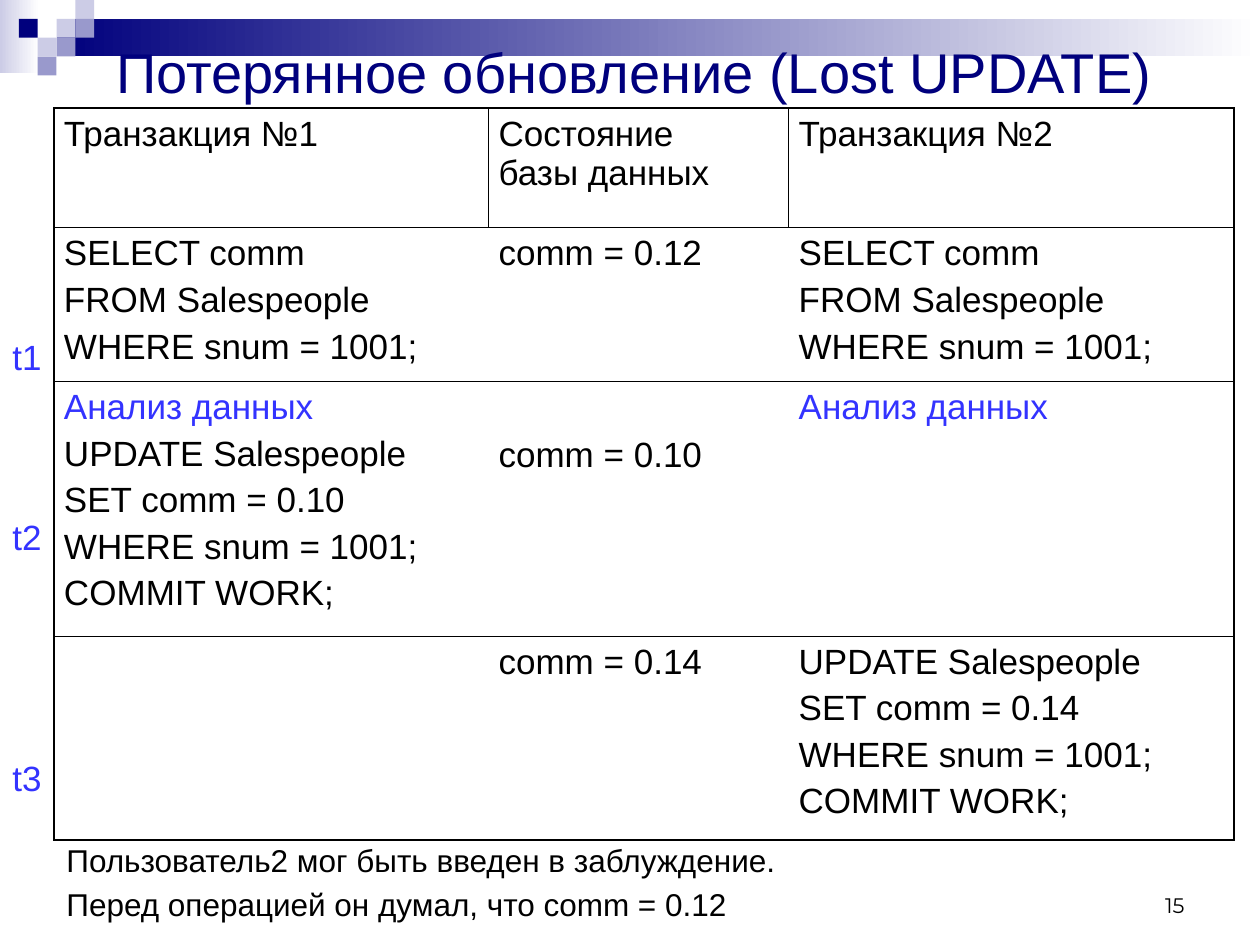
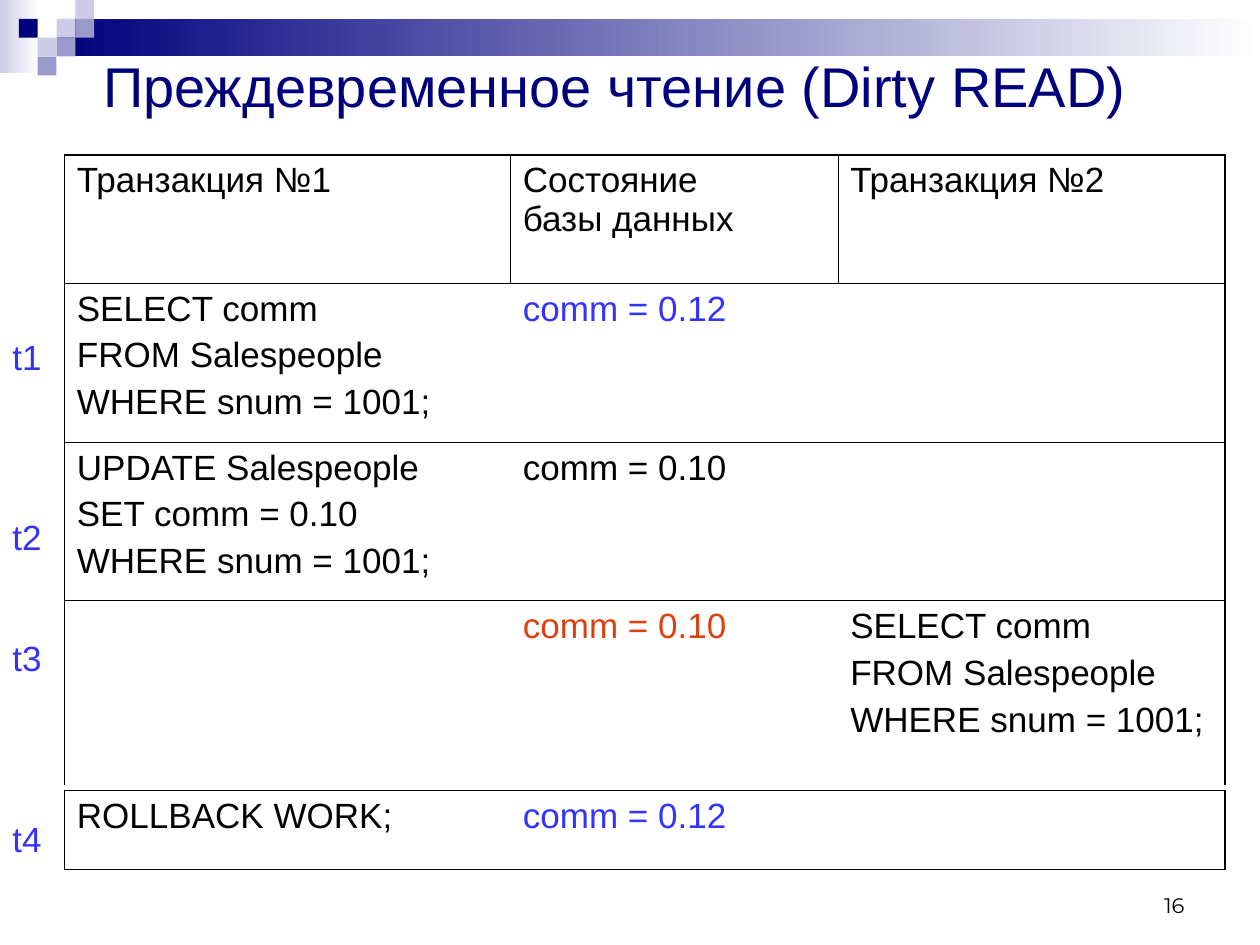
from lxml import etree
from pptx import Presentation
from pptx.dml.color import RGBColor
from pptx.enum.shapes import MSO_SHAPE as Shape
from pptx.enum.text import MSO_ANCHOR as Anchor, MSO_AUTO_SIZE as Fit, PP_ALIGN as Align
from pptx.oxml.ns import qn
from pptx.util import Cm, Pt

NAVY, LILAC, PALE = "00007D", "9999CC", "CCCCE6"
WHITE, BLACK, BLUE, RED = "FFFFFF", "000000", "3333FF", "DE4110"
FONT, NUMFONT = "Arial", "Montserrat"
THIN, THICK = 0.45, 1.08
UNIT = 0.38  # side of one corner square, cm

HEAD = ["Транзакция №1", "Состояние\vбазы данных", "Транзакция №2"]
SELECT = ["SELECT comm", "FROM Salespeople", "WHERE snum = 1001;"]
STUDY = ("Анализ данных", BLUE)


def update(rate):
    return ["UPDATE Salespeople", f"SET comm = {rate}", "WHERE snum = 1001;"]


def paint(color, code):
    color.rgb = RGBColor.from_string(code)


def lengths(box):
    return [Cm(n) for n in box]


def write(frame, lines, size=20, color=BLACK, gap=0, lead=None, font=FONT, align=None):
    """Fill a frame; a line is a string or a (string, colour) pair."""
    frame.word_wrap = True
    for i, line in enumerate(lines):
        text, code = (line, color) if isinstance(line, str) else line
        para = frame.paragraphs[0] if i == 0 else frame.add_paragraph()
        para.text = text
        para.alignment = align
        para.line_spacing = lead
        para.space_before = Pt(gap if i else 0)
        for run in para.runs:
            run.font.name, run.font.size = font, Pt(size)
            paint(run.font.color, code)


def text_box(slide, box, lines, **style):
    frame = slide.shapes.add_textbox(*lengths(box)).text_frame
    write(frame, lines, **style)
    return frame


# Corner squares and top band
def block(slide, box, *codes):
    shape = slide.shapes.add_shape(Shape.RECTANGLE, *lengths(box))
    shape.shadow.inherit = False
    shape.line.fill.background()
    if len(codes) == 1:
        shape.fill.solid()
        paint(shape.fill.fore_color, codes[0])
        return
    shape.fill.gradient()
    shape.fill.gradient_angle = 0
    for stop, code, place in zip(shape.fill.gradient_stops, codes, (0, 1)):
        paint(stop.color, code)
        stop.position = place


def banner(slide):
    block(slide, (0, 0, 0.79, 1.47), PALE, WHITE)
    block(slide, (3 * UNIT, UNIT, 25.4 - 3 * UNIT, 2 * UNIT), NAVY, WHITE)
    squares = [(3, 1, PALE), (4, 0, PALE), (4, 1, LILAC), (2, 2, PALE),
               (1, 1, NAVY), (3, 2, LILAC), (2, 3, LILAC)]
    for col, row, code in squares:
        block(slide, (col * UNIT, row * UNIT, UNIT, UNIT), code)


# Title in front of the band
def heading(slide, box, text, lead=None):
    title = slide.shapes.title
    title.left, title.top, title.width, title.height = lengths(box)
    title.element.getparent().append(title.element)
    frame = title.text_frame
    frame.auto_size = Fit.NONE
    frame.vertical_anchor = Anchor.MIDDLE
    write(frame, [text], size=32, color=NAVY, lead=lead, align=Align.CENTER)


def edge(cell, side, width):
    line = etree.SubElement(cell._tc.get_or_add_tcPr(), qn(f"a:ln{side}"))
    if not width:
        etree.SubElement(line, qn("a:noFill"))
        return
    line.set("w", str(Pt(width)))
    fill = etree.SubElement(line, qn("a:solidFill"))
    etree.SubElement(fill, qn("a:srgbClr")).set("val", BLACK)


# Table of transactions: ruled header, body rows without inner uprights
def grid(slide, spot, cols, heights, rows, inset, head=True, foot=THICK, drop=()):
    box = (*spot, sum(cols), sum(heights))
    table = slide.shapes.add_table(len(rows), len(cols), *lengths(box)).table
    table.first_row = table.horz_banding = False
    for col, width in zip(table.columns, cols):
        col.width = Cm(width)
    for r, (row, height) in enumerate(zip(rows, heights)):
        table.rows[r].height = Cm(height)
        top = head and r == 0
        inner = THIN if top else 0
        for c, lines in enumerate(row):
            cell = table.cell(r, c)
            cell.margin_left = cell.margin_right = Cm(inset)
            cell.margin_top = Cm(1.09 if (r, c) in drop else 0.13)
            cell.margin_bottom = Cm(0.13)
            write(cell.text_frame, lines, gap=4.3)
            edge(cell, "L", THICK if c == 0 else inner)
            edge(cell, "R", THICK if c == len(cols) - 1 else inner)
            edge(cell, "T", THICK if top else THIN)
            edge(cell, "B", foot if r == len(rows) - 1 else THIN)
            cell.fill.background()


# Time marks down the left margin, set apart by whole steps
def times(slide, box, steps):
    marks = [f"t{n}" for n in range(1, len(steps) + 2)]
    frame = text_box(slide, box, marks, color=BLUE, lead=0.9)
    for para, step in zip(frame.paragraphs[1:], steps):
        para.space_before = Pt(34.1 * step - 20.7)


def number(slide, value):
    frame = text_box(slide, (18.21, 17.35, 5.92, 1.27), [str(value)],
                     size=12, font=NUMFONT, align=Align.RIGHT)
    frame.vertical_anchor = Anchor.BOTTOM


def lost_update(slide):
    heading(slide, (1.09, 0.71, 23.39, 1.6), "Потерянное обновление (Lost UPDATE)", 0.9)
    rows = [
        [[name] for name in HEAD],
        [SELECT, ["comm = 0.12"], SELECT],
        [[STUDY, *update("0.10"), "COMMIT WORK;"], ["comm = 0.10"], [STUDY]],
        [[], ["comm = 0.14"], [*update("0.14"), "COMMIT WORK;"]],
    ]
    grid(slide, (1.09, 2.18), (8.76, 6.05, 8.97), (2.41, 3.1, 5.13, 4.11),
         rows, 0.2, drop=[(2, 1)])
    times(slide, (0, 6.73, 1.14, 9.45), (3, 4))
    number(slide, 15)
    text_box(slide, (1.09, 16.92, 23.01, 1.8),
             ["Пользователь2 мог быть введен в заблуждение.",
              "Перед операцией он думал, что comm = 0.12"],
             size=18, gap=5.5, lead=0.9)


def dirty_read(slide):
    heading(slide, (1.5, 0.91, 21.79, 1.6), "Преждевременное чтение (Dirty READ)")
    cols = (8.99, 6.6, 7.8)
    rows = [
        [[name] for name in HEAD],
        [SELECT, [("comm = 0.12", BLUE)], []],
        [update("0.10"), ["comm = 0.10"], []],
        [[], [("comm = 0.10", RED)], SELECT],
    ]
    grid(slide, (1.3, 3.12), cols, (2.59, 3.2, 3.2, 3.71), rows, 0.25, foot=0)
    last = [["ROLLBACK WORK;"], [("comm = 0.12", BLUE)], []]
    grid(slide, (1.3, 15.93), cols, (1.6,), [last], 0.25, head=False)
    times(slide, (0, 6.73, 1.3, 10.64), (3, 2, 3))
    number(slide, 16)


def main():
    deck = Presentation()
    deck.slide_width, deck.slide_height = Cm(25.4), Cm(19.05)
    for build in (lost_update, dirty_read):
        slide = deck.slides.add_slide(deck.slide_layouts[5])
        banner(slide)
        build(slide)
    deck.save("out.pptx")


if __name__ == "__main__":
    main()
